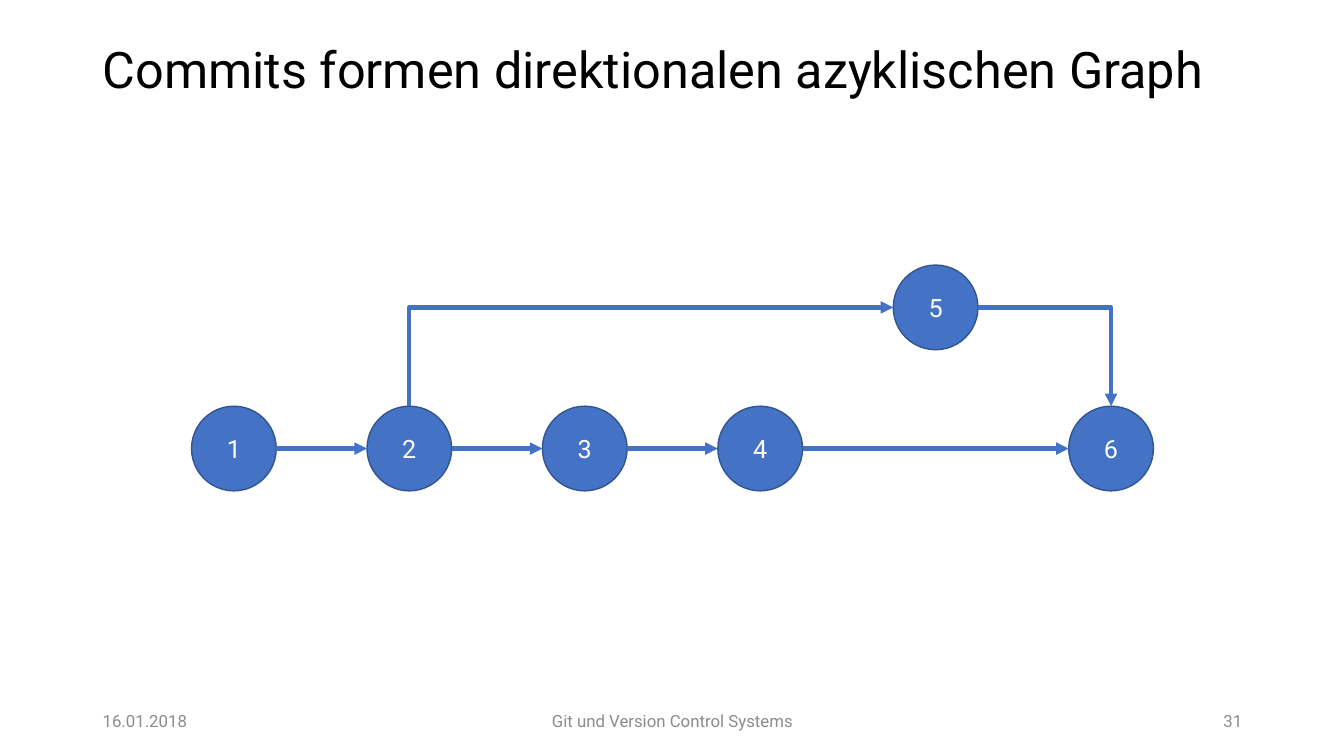
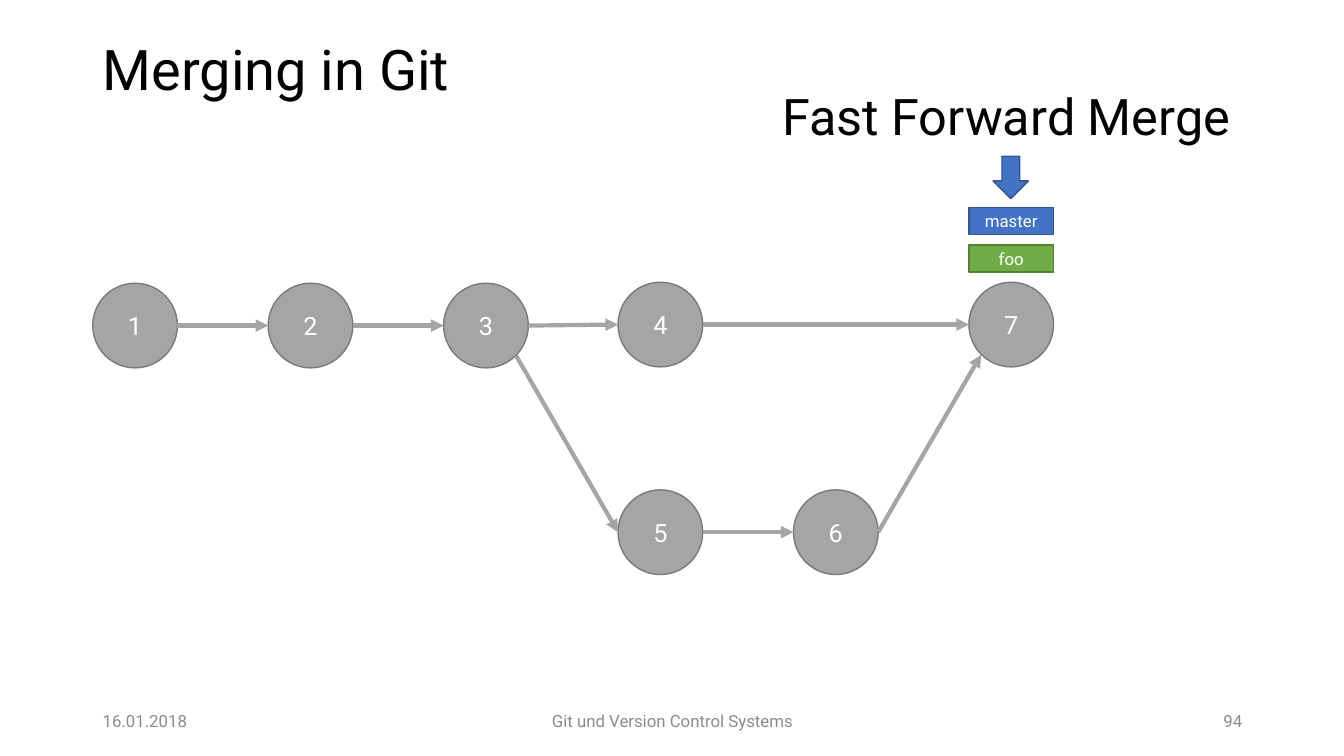
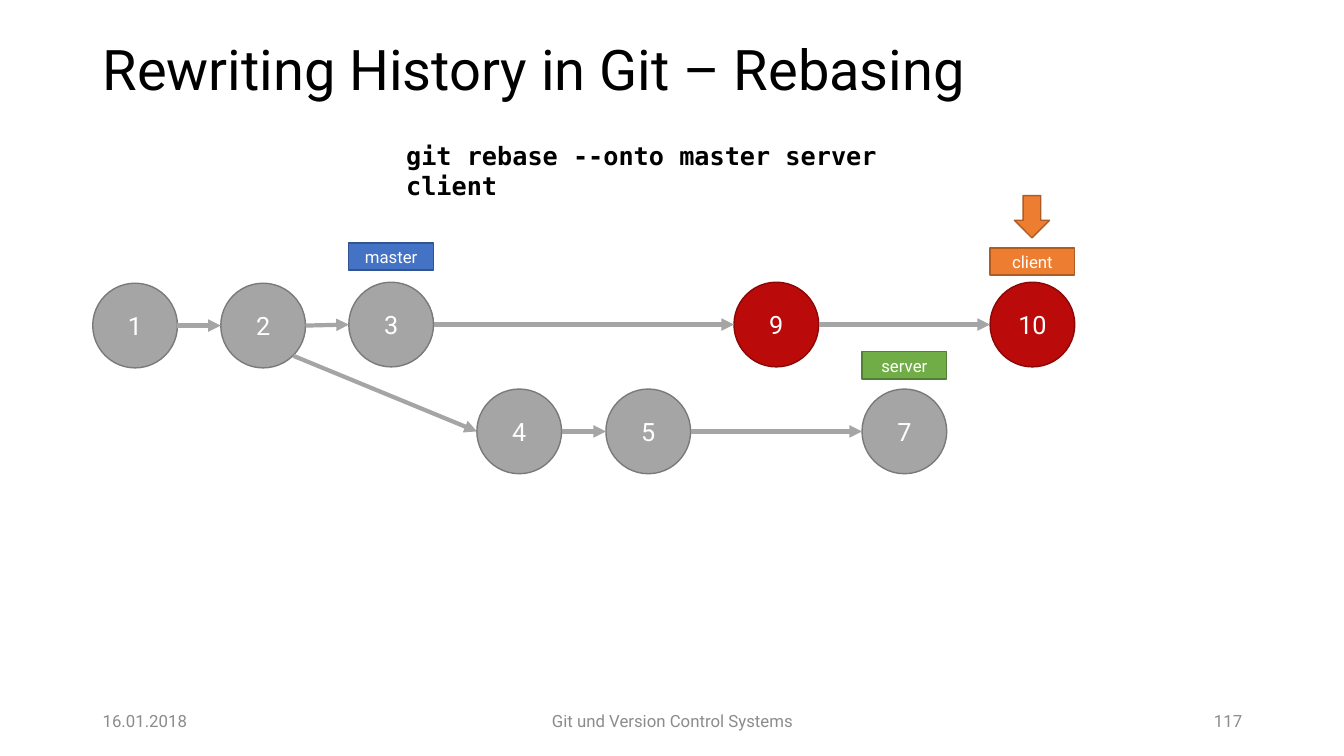
from dataclasses import dataclass
from typing import NamedTuple

from lxml import etree
from pptx import Presentation
from pptx.dml.color import RGBColor
from pptx.enum.shapes import MSO_CONNECTOR as CONN, MSO_SHAPE as SHAPE
from pptx.enum.text import MSO_ANCHOR as ANCHOR, PP_ALIGN as ALIGN
from pptx.oxml.ns import qn
from pptx.shapes.autoshape import Shape
from pptx.slide import Slide
from pptx.util import Emu, Pt

PX = 9144  # EMU per px, 100 px to the inch
DIAMETER = 84
RADIUS = DIAMETER // 2
DIAGONAL = 30  # offset of a 45° point on the circle


# Theme
class Paint(NamedTuple):
    fill: str
    line: str


class TextStyle(NamedTuple):
    size: int
    color: str
    font: str = "Roboto"
    bold: bool = False


@dataclass(frozen=True)
class Theme:
    blue: Paint = Paint("4472C4", "325491")
    gray: Paint = Paint("A5A5A5", "7A7A7A")
    green: Paint = Paint("70AD47", "538035")
    orange: Paint = Paint("ED7D31", "AF5C24")
    red: Paint = Paint("BB0A0A", "8A0707")
    title: TextStyle = TextStyle(40, "000000")
    heading: TextStyle = TextStyle(36, "000000")
    command: TextStyle = TextStyle(18, "000000", "DejaVu Sans Mono", True)
    node: TextStyle = TextStyle(18, "FFFFFF")
    tag: TextStyle = TextStyle(12, "FFFFFF")
    footer: TextStyle = TextStyle(12, "8C8C8C")
    outline: int = 1
    edge: int = 3


T = Theme()


# Parts of a commit graph
class Box(NamedTuple):
    x: int
    y: int
    w: int
    h: int


class Grid(NamedTuple):
    left: int
    span: int
    steps: int

    def x(self, col: int) -> int:
        return self.left + round(self.span * col / self.steps)


class Commit(NamedTuple):
    label: str
    col: int
    y: int
    paint: Paint


class Edge(NamedTuple):
    start: str
    end: str
    start_port: str = "E"
    end_port: str = "W"


class Tag(NamedTuple):
    text: str
    col: int
    y: int
    paint: Paint


class Pointer(NamedTuple):
    col: int
    y: int
    paint: Paint


@dataclass(frozen=True)
class Graph:
    grid: Grid
    commits: list[Commit]
    edges: list[Edge]
    edge_paint: Paint
    tags: tuple[Tag, ...] = ()
    pointers: tuple[Pointer, ...] = ()


PORTS = {
    "N": (0, -RADIUS),
    "E": (RADIUS, 0),
    "W": (-RADIUS, 0),
    "SE": (DIAGONAL, DIAGONAL),
    "SW": (-DIAGONAL, DIAGONAL),
}


# Drawing helpers
def emu(*lengths: int) -> list[Emu]:
    return [Emu(n * PX) for n in lengths]


def write(sp: Shape, text: str, style: TextStyle, align: ALIGN, anchor: ANCHOR) -> None:
    tf = sp.text_frame
    tf.word_wrap = True
    tf.vertical_anchor = anchor
    p = tf.paragraphs[0]
    p.text = text
    p.alignment = align
    p.font.name = style.font
    p.font.size = Pt(style.size)
    p.font.bold = style.bold
    p.font.color.rgb = RGBColor.from_string(style.color)


def add_text(s: Slide, box: Box, text: str, style: TextStyle,
             align: ALIGN = ALIGN.LEFT, anchor: ANCHOR = ANCHOR.MIDDLE) -> Shape:
    sp = s.shapes.add_textbox(*emu(*box))
    write(sp, text, style, align, anchor)
    return sp


def add_block(s: Slide, kind: SHAPE, box: Box, paint: Paint) -> Shape:
    sp = s.shapes.add_shape(kind, *emu(*box))
    sp.shadow.inherit = False
    sp.fill.solid()
    sp.fill.fore_color.rgb = RGBColor.from_string(paint.fill)
    sp.line.color.rgb = RGBColor.from_string(paint.line)
    sp.line.width = Pt(T.outline)
    return sp


def add_arrow(s: Slide, start: tuple[int, int], end: tuple[int, int],
              paint: Paint, bent: bool, upright: bool) -> None:
    (x1, y1), (x2, y2) = start, end
    if bent and upright:  # vertical leg first: lay out the box before its quarter turn
        cx, cy, w, h = (x1 + x2) // 2, (y1 + y2) // 2, x2 - x1, y2 - y1
        x1, y1 = cx - h // 2, cy + w // 2
        x2, y2 = x1 + h, y1 - w
    c = s.shapes.add_connector(CONN.ELBOW if bent else CONN.STRAIGHT, *emu(x1, y1, x2, y2))
    c.line.color.rgb = RGBColor.from_string(paint.fill)
    c.line.width = Pt(T.edge)
    pr = c.element.spPr
    if bent:
        pr.find(qn("a:prstGeom")).set("prst", "bentConnector2")
        if upright:
            pr.find(qn("a:xfrm")).set("rot", "5400000")
    etree.SubElement(pr.find(qn("a:ln")), qn("a:tailEnd"), type="triangle")
    etree.SubElement(pr, qn("a:effectLst"))


def draw_graph(s: Slide, g: Graph) -> None:
    centers = {c.label: (g.grid.x(c.col) + RADIUS, c.y + RADIUS) for c in g.commits}

    def port(label: str, side: str) -> tuple[int, int]:
        (cx, cy), (dx, dy) = centers[label], PORTS[side]
        return cx + dx, cy + dy

    for c in g.commits:
        sp = add_block(s, SHAPE.OVAL, Box(g.grid.x(c.col), c.y, DIAMETER, DIAMETER), c.paint)
        write(sp, c.label, T.node, ALIGN.CENTER, ANCHOR.MIDDLE)
    for e in g.edges:
        add_arrow(s, port(e.start, e.start_port), port(e.end, e.end_port), g.edge_paint,
                  bent="N" in (e.start_port, e.end_port), upright=e.start_port == "N")
    for t in g.tags:
        sp = add_block(s, SHAPE.RECTANGLE, Box(g.grid.x(t.col), t.y, DIAMETER, 27), t.paint)
        write(sp, t.text, T.tag, ALIGN.CENTER, ANCHOR.MIDDLE)
    for a in g.pointers:
        add_block(s, SHAPE.DOWN_ARROW, Box(g.grid.x(a.col) + 24, a.y, 35, 42), a.paint)


def add_page(prs: Presentation, title: str, number: int, graph: Graph,
             style: TextStyle = T.title) -> Slide:
    s = prs.slides.add_slide(prs.slide_layouts[6])
    sp = add_text(s, Box(92, 28, 1150, 88), title, style)
    sp.text_frame.paragraphs[0].line_spacing = 0.9
    add_text(s, Box(92, 695, 300, 40), "16.01.2018", T.footer)
    add_text(s, Box(442, 695, 450, 40), "Git und Version Control Systems", T.footer, ALIGN.CENTER)
    add_text(s, Box(942, 695, 300, 40), str(number), T.footer, ALIGN.RIGHT)
    draw_graph(s, graph)
    return s


# Slide content
DAG = Graph(
    Grid(190, 870, 5),
    [Commit(str(i + 1), i, 263 if i == 4 else 403, T.blue) for i in range(6)],
    [Edge("1", "2"), Edge("2", "3"), Edge("3", "4"), Edge("4", "6"),
     Edge("2", "5", "N", "W"), Edge("5", "6", "E", "N")],
    T.blue,
)

MERGE = Graph(
    Grid(92, 869, 5),
    [Commit("1", 0, 281, T.gray), Commit("2", 1, 281, T.gray), Commit("3", 2, 281, T.gray),
     Commit("4", 3, 280, T.gray), Commit("5", 3, 486, T.gray), Commit("6", 4, 486, T.gray),
     Commit("7", 5, 280, T.gray)],
    [Edge("1", "2"), Edge("2", "3"), Edge("3", "4"), Edge("4", "7"),
     Edge("3", "5", "SE"), Edge("5", "6"), Edge("6", "7", "E", "SW")],
    T.gray,
    (Tag("master", 5, 206, T.blue), Tag("foo", 5, 243, T.green)),
    (Pointer(5, 155, T.blue),),
)

REBASE = Graph(
    Grid(92, 890, 7),
    [Commit("1", 0, 281, T.gray), Commit("2", 1, 281, T.gray), Commit("3", 2, 280, T.gray),
     Commit("4", 3, 386, T.gray), Commit("5", 4, 386, T.gray), Commit("7", 6, 386, T.gray),
     Commit("9", 5, 280, T.red), Commit("10", 7, 280, T.red)],
    [Edge("1", "2"), Edge("2", "3"), Edge("3", "9"), Edge("9", "10"),
     Edge("2", "4", "SE"), Edge("4", "5"), Edge("5", "7")],
    T.gray,
    (Tag("master", 2, 241, T.blue), Tag("server", 6, 349, T.green),
     Tag("client", 7, 246, T.orange)),
    (Pointer(7, 194, T.orange),),
)


def main() -> None:
    prs = Presentation()
    prs.slide_width, prs.slide_height = emu(1333, 750)

    add_page(prs, "Commits formen direktionalen azyklischen Graph", 31, DAG, T.heading)

    s = add_page(prs, "Merging in Git", 94, MERGE)
    add_text(s, Box(766, 79, 475, 71), "Fast Forward Merge", T.heading, anchor=ANCHOR.TOP)

    s = add_page(prs, "Rewriting History in Git – Rebasing", 117, REBASE)
    add_text(s, Box(393, 134, 546, 40), "git rebase --onto master server client",
             T.command, anchor=ANCHOR.TOP)

    prs.save("out.pptx")


if __name__ == "__main__":
    main()
